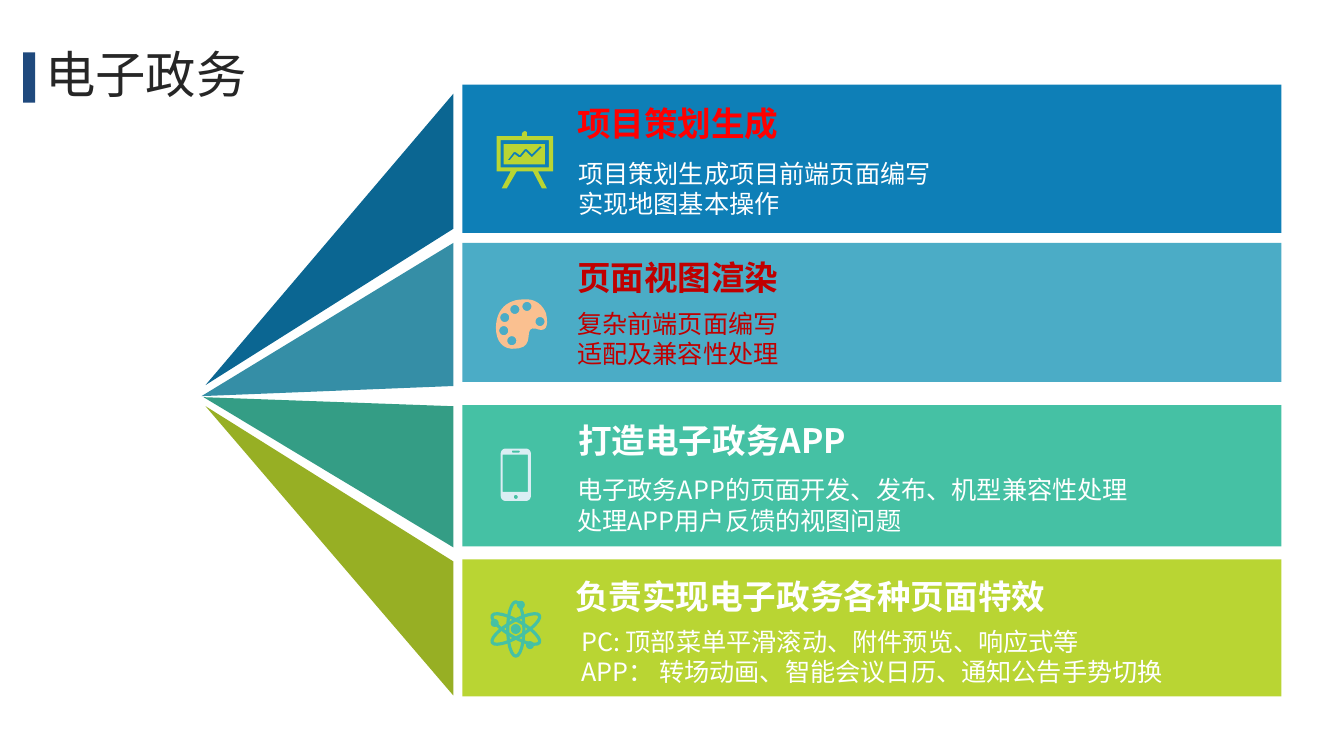
from math import cos, pi, sin

from lxml import etree
from pptx import Presentation
from pptx.dml.color import RGBColor
from pptx.enum.shapes import MSO_SHAPE
from pptx.enum.text import MSO_ANCHOR
from pptx.oxml.ns import qn
from pptx.util import Inches, Pt

RECTANGLE = MSO_SHAPE.RECTANGLE
OVAL = MSO_SHAPE.OVAL
TOP = MSO_ANCHOR.TOP
MIDDLE = MSO_ANCHOR.MIDDLE

FONT = "Noto Sans CJK SC"
WHITE = RGBColor(0xFF, 0xFF, 0xFF)
RED = RGBColor(0xFF, 0x00, 0x00)
DARK_RED = RGBColor(0xC0, 0x00, 0x00)
INK = RGBColor(0x26, 0x26, 0x26)
NAVY = RGBColor(0x1F, 0x49, 0x7D)
BLUE = RGBColor(0x0E, 0x7F, 0xB7)
DEEP_BLUE = RGBColor(0x0B, 0x66, 0x92)
SKY = RGBColor(0x4B, 0xAC, 0xC6)
DEEP_SKY = RGBColor(0x35, 0x8E, 0xA6)
TEAL = RGBColor(0x45, 0xC1, 0xA4)
DEEP_TEAL = RGBColor(0x34, 0x9D, 0x85)
LIME = RGBColor(0xB9, 0xD5, 0x33)
OLIVE = RGBColor(0x97, 0xAF, 0x24)
PEACH = RGBColor(0xFA, 0xC0, 0x90)
ICE = RGBColor(0xDB, 0xEE, 0xF4)

HEADING = "电子政务"
BAND_LEFT, BAND_WIDTH, FAN_RIGHT = 4.59, 8.13, 4.5
BANDS = [
    dict(top=0.84, height=1.47, fill=BLUE, fan=DEEP_BLUE,
         tip=(2.04, 3.82), edge=(0.93, 2.27), color=RED, body_color=WHITE,
         title="项目策划生成", title_at=(5.63, 0.97), body_at=(5.64, 1.52),
         body=["项目策划生成项目前端页面编写", "实现地图基本操作"]),
    dict(top=2.41, height=1.38, fill=SKY, fan=DEEP_SKY,
         tip=(2.0, 3.93), edge=(2.41, 3.83), color=DARK_RED, body_color=DARK_RED,
         title="页面视图渲染", title_at=(5.63, 2.5), body_at=(5.63, 3.01),
         body=["复杂前端页面编写", "适配及兼容性处理"]),
    dict(top=4.02, height=1.4, fill=TEAL, fan=DEEP_TEAL,
         tip=(2.02, 3.94), edge=(4.03, 5.43), color=WHITE, body_color=WHITE,
         title="打造电子政务APP", title_at=(5.64, 4.12), body_at=(5.63, 4.66),
         body=["电子政务APP的页面开发、发布、机型兼容性处理", "处理APP用户反馈的视图问题"]),
    dict(top=5.55, height=1.36, fill=LIME, fan=OLIVE,
         tip=(2.04, 4.03), edge=(5.57, 6.9), color=WHITE, body_color=WHITE,
         title="负责实现电子政务各种页面特效", title_at=(5.61, 5.66), body_at=(5.67, 6.16),
         body=["PC: 顶部菜单平滑滚动、附件预览、响应式等", "APP： 转场动画、智能会议日历、通知公告手势切换"]),
]

EASEL = [(5.18, 1.35), (5.18, 1.33), (5.19, 1.31), (5.21, 1.3), (5.23, 1.31), (5.23, 1.35),
         (5.49, 1.35), (5.49, 1.7), (5.34, 1.7), (5.43, 1.87), (5.38, 1.87), (5.29, 1.7),
         (5.13, 1.7), (5.03, 1.87), (4.98, 1.87), (5.07, 1.7), (4.93, 1.7), (4.93, 1.35)]
TREND = [(5.04, 1.59), (5.1, 1.51), (5.12, 1.51), (5.16, 1.54), (5.21, 1.48), (5.23, 1.48),
         (5.28, 1.53), (5.36, 1.45), (5.38, 1.46), (5.28, 1.56), (5.22, 1.5), (5.17, 1.56),
         (5.15, 1.56), (5.11, 1.53), (5.06, 1.59)]
PALETTE_CURVES = [
    [(5.2, 2.97), (5.21, 2.97), (5.22, 2.97), (5.23, 2.97)],
    [(5.23, 2.97), (5.32, 2.97), (5.39, 3.03), (5.42, 3.11)],
    [(5.42, 3.11), (5.46, 3.3), (5.37, 3.28), (5.32, 3.26)],
    [(5.32, 3.26), (5.17, 3.23), (5.35, 3.47), (5.08, 3.46)],
    [(5.08, 3.46), (4.92, 3.45), (4.9, 3.26), (4.94, 3.14)],
    [(4.94, 3.14), (4.97, 3.05), (5.05, 2.97), (5.2, 2.97)],
]
PAINT_WELLS = [(5.08, 3.38), (5.0, 3.28), (5.36, 3.19), (5.01, 3.15), (5.11, 3.07), (5.23, 3.04)]
ATOM_CENTER = (5.12, 6.24)
ELECTRONS = [(5.17, 6.0), (4.91, 6.18), (5.26, 6.4)]

presentation = Presentation()
presentation.slide_width = Inches(13.34)
presentation.slide_height = Inches(7.5)
slide = presentation.slides.add_slide(presentation.slide_layouts[6])


def box(left, top, right, bottom):
    return [(left, top), (right, top), (right, bottom), (left, bottom)]


def rounded_box(left, top, right, bottom, radius):
    corners = [(right - radius, bottom - radius), (left + radius, bottom - radius),
               (left + radius, top + radius), (right - radius, top + radius)]
    return [(x + radius * cos((quarter + step / 6) * pi / 2),
             y + radius * sin((quarter + step / 6) * pi / 2))
            for quarter, (x, y) in enumerate(corners) for step in range(7)]


def circle(center, radius):
    x, y = center
    return rounded_box(x - radius, y - radius, x + radius, y + radius, radius)


def curve_points(curve, steps=10):
    weights = [((1 - t) ** 3, 3 * t * (1 - t) ** 2, 3 * t * t * (1 - t), t ** 3)
               for t in (step / steps for step in range(steps))]
    return [tuple(sum(w * point[axis] for w, point in zip(row, curve)) for axis in (0, 1))
            for row in weights]


def paint(shape, fill):
    shape.shadow.inherit = False
    shape.fill.solid()
    shape.fill.fore_color.rgb = fill
    shape.line.fill.background()


def add_preset(kind, left, top, width, height, fill):
    shape = slide.shapes.add_shape(kind, Inches(left), Inches(top), Inches(width), Inches(height))
    paint(shape, fill)
    return shape


def add_outline(contours, fill):
    contours = [[(Inches(x), Inches(y)) for x, y in contour] for contour in contours]
    builder = slide.shapes.build_freeform(*contours[0][0])
    for index, contour in enumerate(contours):
        if index:
            builder.move_to(*contour[0])
        builder.add_line_segments(contour[1:], close=True)
    paint(builder.convert_to_shape(), fill)


def add_dot(center, radius, fill):
    add_preset(OVAL, center[0] - radius, center[1] - radius, 2 * radius, 2 * radius, fill)


def add_text(lines, left, top, width, height, size, color, bold=False, anchor=TOP, spacing=1.0):
    shape = slide.shapes.add_textbox(Inches(left), Inches(top), Inches(width), Inches(height))
    frame = shape.text_frame
    frame.word_wrap = True
    frame.vertical_anchor = anchor
    for index, line in enumerate(lines):
        paragraph = frame.add_paragraph() if index else frame.paragraphs[0]
        paragraph.line_spacing = spacing
        run = paragraph.add_run()
        run.text = line
        run.font.size = Pt(size)
        run.font.bold = bold
        run.font.color.rgb = color
        run.font.name = FONT
        etree.SubElement(run.font._element, qn("a:ea")).set("typeface", FONT)


add_text([HEADING], 0.35, 0.37, 12.66, 0.79, size=36, color=INK, anchor=MIDDLE, spacing=0.9)
add_preset(RECTANGLE, 0.23, 0.52, 0.12, 0.5, NAVY)

for band in BANDS:
    add_preset(RECTANGLE, BAND_LEFT, band["top"], BAND_WIDTH, band["height"], band["fill"])
    add_outline([[band["tip"]] + [(FAN_RIGHT, y) for y in band["edge"]]], band["fan"])
    add_text(band["body"], *band["body_at"], 6.66, 0.71, size=18, color=band["body_color"])
    add_text([band["title"]], *band["title_at"], 6.66, 0.5, size=24, color=band["color"], bold=True)

add_outline([EASEL, box(4.97, 1.39, 5.45, 1.66), box(5, 1.43, 5.41, 1.63), TREND], LIME)

palette = [point for curve in PALETTE_CURVES for point in curve_points(curve)]
add_outline([palette] + [circle(well, 0.045) for well in PAINT_WELLS], PEACH)

add_outline([rounded_box(4.97, 4.45, 5.27, 4.97, 0.05), box(4.99, 4.51, 5.24, 4.88),
             rounded_box(5.08, 4.47, 5.16, 4.49, 0.01), circle((5.12, 4.93), 0.02)], ICE)

for angle in (0, 60, 120):
    orbit = add_preset(OVAL, ATOM_CENTER[0] - 0.08, ATOM_CENTER[1] - 0.27, 0.16, 0.54, TEAL)
    orbit.rotation = angle
    orbit.fill.background()
    orbit.line.color.rgb = TEAL
    orbit.line.width = Pt(2.25)
add_dot(ATOM_CENTER, 0.05, TEAL)
for electron in ELECTRONS:
    add_dot(electron, 0.04, TEAL)

presentation.save("out.pptx")
